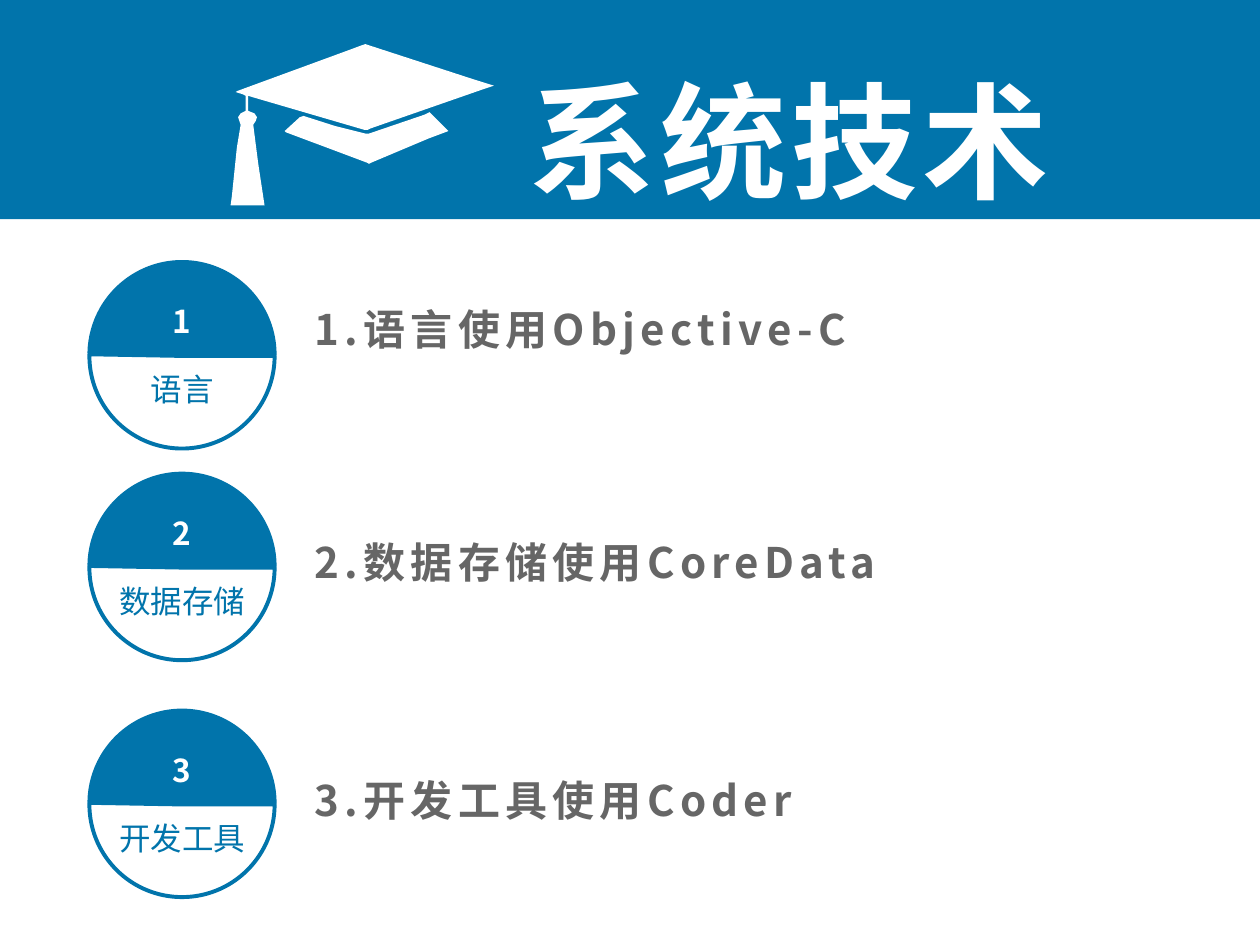
from dataclasses import dataclass
from lxml import etree
from pptx import Presentation, util as u
from pptx.dml.color import RGBColor
from pptx.enum import shapes, text
from pptx.oxml.ns import qn


@dataclass(frozen=True)
class Theme:
    """Colours, font and type sizes of the slide."""
    blue: str = "0174AB"
    white: str = "FFFFFF"
    grey: str = "666666"
    font: str = "Noto Sans CJK SC"
    title: int = 72
    body: int = 24
    label: int = 18
    outline: float = 2.25


T = Theme()
W, H = 10, 7.5
BANNER_H = 1.74
DISC = 1.47
UPPER, LOWER = 107.357, 108.607  # end angles of the half discs

# (disc top, statement top, label, statement)
ITEMS = [
    (2.08, 2.36, "语言", "1.语言使用Objective-C"),
    (3.76, 4.21, "数据存储", "2.数据存储使用CoreData "),
    (5.64, 6.10, "开发工具", "3.开发工具使用Coder"),
]

# Outlines as shares of 1/100 inch, relative to the cap's box
CAP_BOARD = [
    (14, 41), (14, 53), (19, 55), (21, 58), (20, 61), (18, 64), (22, 95),
    (27, 128), (0, 128), (1, 121), (5, 82), (8, 64), (7, 61), (6, 58),
    (8, 55), (12, 53), (12, 41), (10, 40), (4, 38), (6, 37), (96, 4),
    (104, 0.5), (107, 0), (110, 0.5), (193, 28), (209, 33), (200, 36),
    (111, 67), (109, 68), (106, 68), (17, 42),
]
CAP_BASE = [
    (43, 69), (55, 58), (58, 57), (83, 65), (107, 71), (110, 71), (154, 56),
    (158, 54), (173, 69), (157, 75), (112, 94), (110, 94.5), (108, 94),
    (44, 70),
]


def rgb(color):
    return RGBColor.from_string(color)


def place(sp, x, y, w, h):
    """Move and size a shape, in inches."""
    sp.left, sp.top, sp.width, sp.height = (u.Inches(v) for v in (x, y, w, h))


def paint(sp, fill=None, line=None):
    """Set fill and outline, each None for nothing, and drop the shadow."""
    sp.shadow.inherit = False
    if fill:
        sp.fill.solid()
        sp.fill.fore_color.rgb = rgb(fill)
    else:
        sp.fill.background()
    if line:
        sp.line.color.rgb = rgb(line)
        sp.line.width = u.Pt(T.outline)
    else:
        sp.line.fill.background()


def write(sp, words, size, color, bold=False, spacing=0, align="LEFT"):
    """Write one formatted line of text into a shape."""
    tf = sp.text_frame
    tf.word_wrap = True
    tf.auto_size = text.MSO_AUTO_SIZE.NONE
    tf.vertical_anchor = text.MSO_ANCHOR.MIDDLE
    p = tf.paragraphs[0]
    p.alignment = text.PP_ALIGN[align]
    r = p.add_run()
    r.text = words
    r.font.name, r.font.size, r.font.bold = T.font, u.Pt(size), bold
    r.font.color.rgb = rgb(color)
    rPr = r._r.get_or_add_rPr()
    rPr.set("spc", str(spacing * 100))
    etree.SubElement(rPr, qn("a:ea")).set("typeface", T.font)


def text_box(s, x, y, w, h, words, **fmt):
    """Add a text box holding one line."""
    sp = s.shapes.add_textbox(*(u.Inches(v) for v in (x, y, w, h)))
    write(sp, words, **fmt)


def half_disc(s, x, y, end, fill=None, flip=False):
    """Draw half a disc; the flipped one is the upper half."""
    sp = s.shapes.add_shape(shapes.MSO_SHAPE.PIE, 0, 0, 0, 0)
    place(sp, x, y, DISC, DISC)
    sp.adjustments[0], sp.adjustments[1] = 0, end
    paint(sp, fill, T.blue)
    if flip:
        sp._element.spPr.get_or_add_xfrm().set("flipV", "1")


def badge(s, x, y, number, label):
    """Draw a numbered disc with its label in the lower half."""
    half_disc(s, x, y, UPPER, T.blue, flip=True)
    half_disc(s, x, y + 0.01, LOWER)
    text_box(s, x + 0.29, y + 0.27, 0.89, 0.4, str(number), size=T.label,
             color=T.white, bold=True, align="CENTER")
    text_box(s, x + 0.06, y + 0.81, 1.35, 0.4, label, size=T.label,
             color=T.blue, align="CENTER")


def cap(s, x, y):
    """Draw the graduation cap with its top left corner at x, y."""
    for outline in (CAP_BOARD, CAP_BASE):
        pts = [(x * 100 + px, y * 100 + py) for px, py in outline]
        fb = s.shapes.build_freeform(*pts[0], scale=u.Inches(0.01))
        fb.add_line_segments(pts[1:], close=True)
        paint(fb.convert_to_shape(), T.white)


def banner(s, x, y, w, h):
    """Draw the header band with the cap and the slide title."""
    band = s.shapes.add_shape(shapes.MSO_SHAPE.RECTANGLE, 0, 0, 0, 0)
    place(band, x, y, w, h)
    paint(band, T.blue)
    cap(s, x + 1.83, y + 0.35)
    title = s.shapes.title
    s.shapes._spTree.append(title._element)  # bring in front of the band
    place(title, x + 4.1, y + 0.45, 4.56, 1.31)
    write(title, "系统技术", size=T.title, color=T.white, bold=True, spacing=3)


def technology_slide(prs):
    """Build the slide: banner on top, one badge and statement per item."""
    s = prs.slides.add_slide(prs.slide_layouts[5])
    banner(s, 0, 0, W, BANNER_H)
    for n, (disc_y, line_y, label, statement) in enumerate(ITEMS, 1):
        badge(s, 0.71, disc_y, n, label)
        text_box(s, 2.4, line_y, 7.3, 0.5, statement, size=T.body,
                 color=T.grey, bold=True, spacing=3)


prs = Presentation()
prs.slide_width, prs.slide_height = u.Inches(W), u.Inches(H)
technology_slide(prs)
prs.save("out.pptx")
